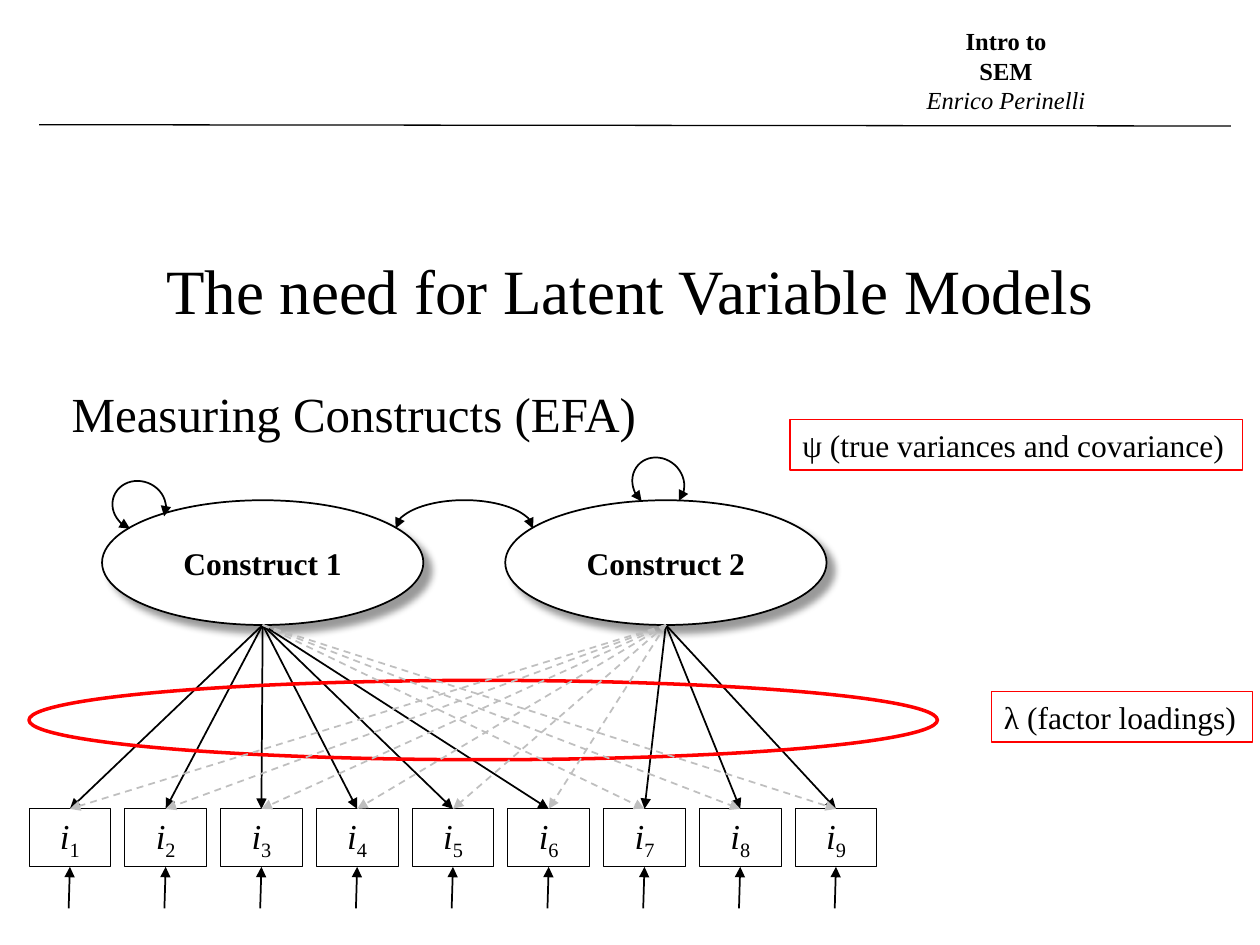
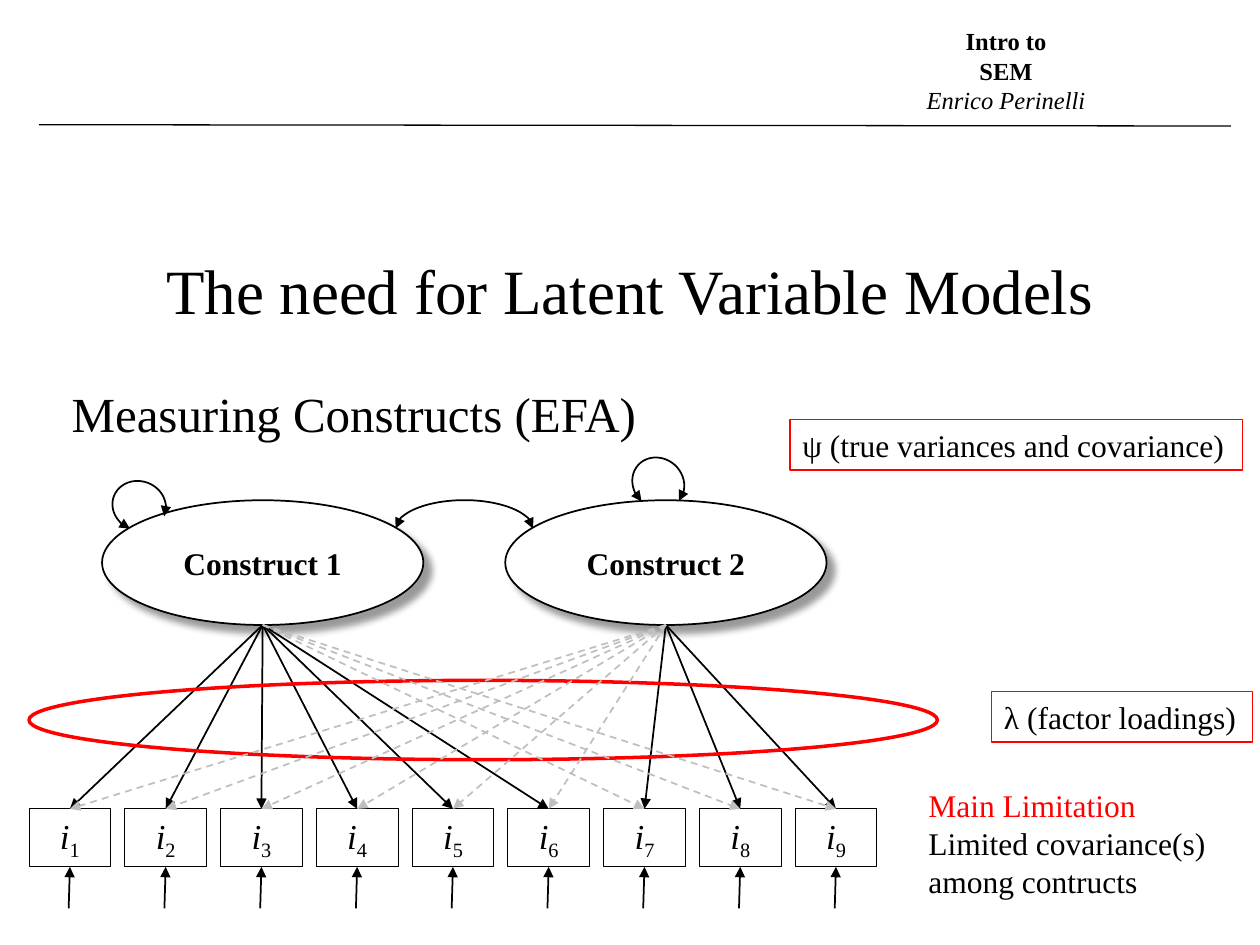
from pptx import Presentation
from pptx.dml.color import RGBColor
from pptx.enum.dml import MSO_LINE
from pptx.enum.shapes import MSO_CONNECTOR, MSO_SHAPE
from pptx.enum.text import MSO_ANCHOR, PP_ALIGN
from pptx.oxml.ns import qn
from pptx.util import Inches, Pt
from lxml.etree import SubElement

FONT = "Times New Roman"
BLACK = RGBColor(0, 0, 0)
WHITE = RGBColor(255, 255, 255)
RED = RGBColor(255, 0, 0)
GRAY = RGBColor(0xBF, 0xBF, 0xBF)

# A paragraph is a list of (text, run format) pairs.
COURSE = [
    [("Intro to", {"bold": True})],
    [("SEM", {"bold": True})],
    [("Enrico Perinelli", {"italic": True})],
]
HEADING = [
    [("The need for Latent Variable Models", {"size": 36})],
    [("Measuring Constructs (EFA)", {})],
]
LIMITATION = [
    [("Main Limitation", {"color": RED})],
    [("Limited covariance(s) among contructs", {})],
]
SLIDE_NOTES = [None, LIMITATION]

CONSTRUCTS = [  # name, left, items that load mainly on it
    ("Construct 1", 0.81, range(1, 7)),
    ("Construct 2", 4.01, range(7, 10)),
]
CONSTRUCT_TOP, CONSTRUCT_W, CONSTRUCT_H = 3.97, 2.55, 0.99

ITEMS = range(1, 10)
ITEM_LEFT, ITEM_TOP, ITEM_PITCH = 0.23, 6.42, 0.76
ITEM_W, ITEM_H = 0.65, 0.46
ERROR_LENGTH = 0.33

CURVES = [  # box, rotation, start and end angle in degrees
    ((3.14, 3.97, 1.09, 0.46), 0, 180.64, 359.51),
    ((0.91, 3.8, 0.39, 0.43), 291.4, 180.64, 91.55),
    ((5.03, 3.62, 0.39, 0.43), 312, 180.64, 88.67),
]
LOADINGS_RING = (0.23, 5.4, 7.21, 0.63)
PARAMETERS = [
    ("λ (factor loadings)", (7.87, 5.49, 2.07, 0.4)),
    ("ψ (true variances and covariance)", (6.27, 3.33, 3.59, 0.4)),
]


def inches(values):
    return [Inches(value) for value in values]


def write(shape, paragraphs, size=18, align=PP_ALIGN.LEFT,
          anchor=MSO_ANCHOR.TOP, wrap=True, gap=0):
    """Fill a shape with paragraphs; gap is the space between them in points."""
    frame = shape.text_frame
    frame.word_wrap = wrap
    frame.vertical_anchor = anchor
    for number, runs in enumerate(paragraphs):
        paragraph = frame.paragraphs[0] if number == 0 else frame.add_paragraph()
        paragraph.alignment = align
        if number and gap:
            paragraph.space_before = Pt(gap)
        for text, style in runs:
            run = paragraph.add_run()
            run.text = text
            font = run.font
            font.name = FONT
            font.size = Pt(style.get("size", size))
            font.bold = style.get("bold", False)
            font.italic = style.get("italic", False)
            font.color.rgb = style.get("color", BLACK)
            if style.get("subscript"):
                font._element.set("baseline", "-25000")


def add_text(slide, box, paragraphs, **layout):
    write(slide.shapes.add_textbox(*inches(box)), paragraphs, **layout)


def add_figure(slide, kind, box, line=BLACK, width=1, fill=None):
    figure = slide.shapes.add_shape(kind, *inches(box))
    figure.line.color.rgb = line
    figure.line.width = Pt(width)
    if fill is None:
        figure.fill.background()
    else:
        figure.fill.solid()
        figure.fill.fore_color.rgb = fill
    figure.shadow.inherit = False
    return figure


def add_arrowheads(shape, *ends):
    outline = shape._element.spPr.get_or_add_ln()
    for end in ends:
        SubElement(outline, qn(f"a:{end}"), type="triangle")


def drop_shadow(shape):
    effects = shape._element.spPr.find(qn("a:effectLst"))
    shadow = SubElement(effects, qn("a:outerShdw"), blurRad=str(Pt(4)),
                        dist=str(Pt(6)), dir="2700000", algn="tl",
                        rotWithShape="0")
    color = SubElement(shadow, qn("a:srgbClr"), val=str(BLACK))
    SubElement(color, qn("a:alpha"), val="40000")


def add_line(slide, start, end, color=BLACK, width=1):
    line = slide.shapes.add_connector(MSO_CONNECTOR.STRAIGHT,
                                      *inches(start + end))
    line.line.color.rgb = color
    line.line.width = Pt(width)
    SubElement(line._element.spPr, qn("a:effectLst"))
    return line


def add_arrow_to(slide, start, item, side, color=BLACK, dashed=False):
    """Draw an arrow from a point to the middle of one side of an item box."""
    arrow = add_line(slide, start, start, color)
    arrow.end_connect(item, side)
    if dashed:
        arrow.line.dash_style = MSO_LINE.DASH
    add_arrowheads(arrow, "tailEnd")


def add_header(slide):
    add_line(slide, (0.31, 0.99), (9.77, 1), width=0.75)
    add_text(slide, (7.25, 0.16, 1.47, 0.81), COURSE, size=14,
             align=PP_ALIGN.CENTER, wrap=False)


def add_heading(slide):
    box = slide.shapes.add_textbox(*inches((0.47, 1.95, 9.06, 1.65)))
    write(box, HEADING, size=28, gap=32)
    box.text_frame.paragraphs[0].alignment = PP_ALIGN.CENTER


def add_constructs(slide):
    for name, left, _ in CONSTRUCTS:
        oval = add_figure(slide, MSO_SHAPE.OVAL,
                          (left, CONSTRUCT_TOP, CONSTRUCT_W, CONSTRUCT_H),
                          fill=WHITE)
        drop_shadow(oval)
        write(oval, [[(name, {"bold": True})]], align=PP_ALIGN.CENTER,
              anchor=MSO_ANCHOR.MIDDLE)


def add_items(slide):
    """Draw the item boxes with their error arrows; return boxes by number."""
    boxes = {}
    for number in ITEMS:
        left = ITEM_LEFT + ITEM_PITCH * (number - 1)
        box = add_figure(slide, MSO_SHAPE.RECTANGLE,
                         (left, ITEM_TOP, ITEM_W, ITEM_H),
                         width=0.5, fill=WHITE)
        write(box, [[("i", {"italic": True}),
                     (str(number), {"subscript": True})]],
              size=20, align=PP_ALIGN.CENTER, anchor=MSO_ANCHOR.MIDDLE)
        error_start = (left + ITEM_W / 2 - 0.01,
                       ITEM_TOP + ITEM_H + ERROR_LENGTH)
        add_arrow_to(slide, error_start, box, 2)
        boxes[number] = box
    return boxes


def add_loadings(slide, items, main):
    """Draw the main loadings, or the dashed cross-loadings."""
    for _, left, own_items in CONSTRUCTS:
        start = (left + CONSTRUCT_W / 2, CONSTRUCT_TOP + CONSTRUCT_H)
        for number, item in items.items():
            if (number in own_items) == main:
                add_arrow_to(slide, start, item, 0,
                             color=BLACK if main else GRAY, dashed=not main)


def add_curves(slide):
    for box, rotation, start, end in CURVES:
        curve = add_figure(slide, MSO_SHAPE.ARC, box)
        curve.rotation = rotation
        for index, degrees in enumerate((start, end)):
            curve.adjustments[index] = degrees * 0.6  # 60000ths over 100000
        add_arrowheads(curve, "headEnd", "tailEnd")


def add_parameters(slide):
    add_figure(slide, MSO_SHAPE.OVAL, LOADINGS_RING, line=RED, width=2)
    for label, box in PARAMETERS:
        frame = add_figure(slide, MSO_SHAPE.RECTANGLE, box, line=RED, width=0.75)
        write(frame, [[(label, {})]], wrap=False)


def build_slide(deck, note):
    slide = deck.slides.add_slide(deck.slide_layouts[6])
    add_header(slide)
    add_heading(slide)
    add_constructs(slide)
    items = add_items(slide)
    add_loadings(slide, items, main=True)
    add_curves(slide)
    add_parameters(slide)
    add_loadings(slide, items, main=False)
    if note:
        add_text(slide, (7.27, 6.19, 2.85, 1.01), note)


def main():
    deck = Presentation()
    deck.slide_width, deck.slide_height = inches((10, 7.5))
    for note in SLIDE_NOTES:
        build_slide(deck, note)
    deck.save("out.pptx")


if __name__ == "__main__":
    main()
